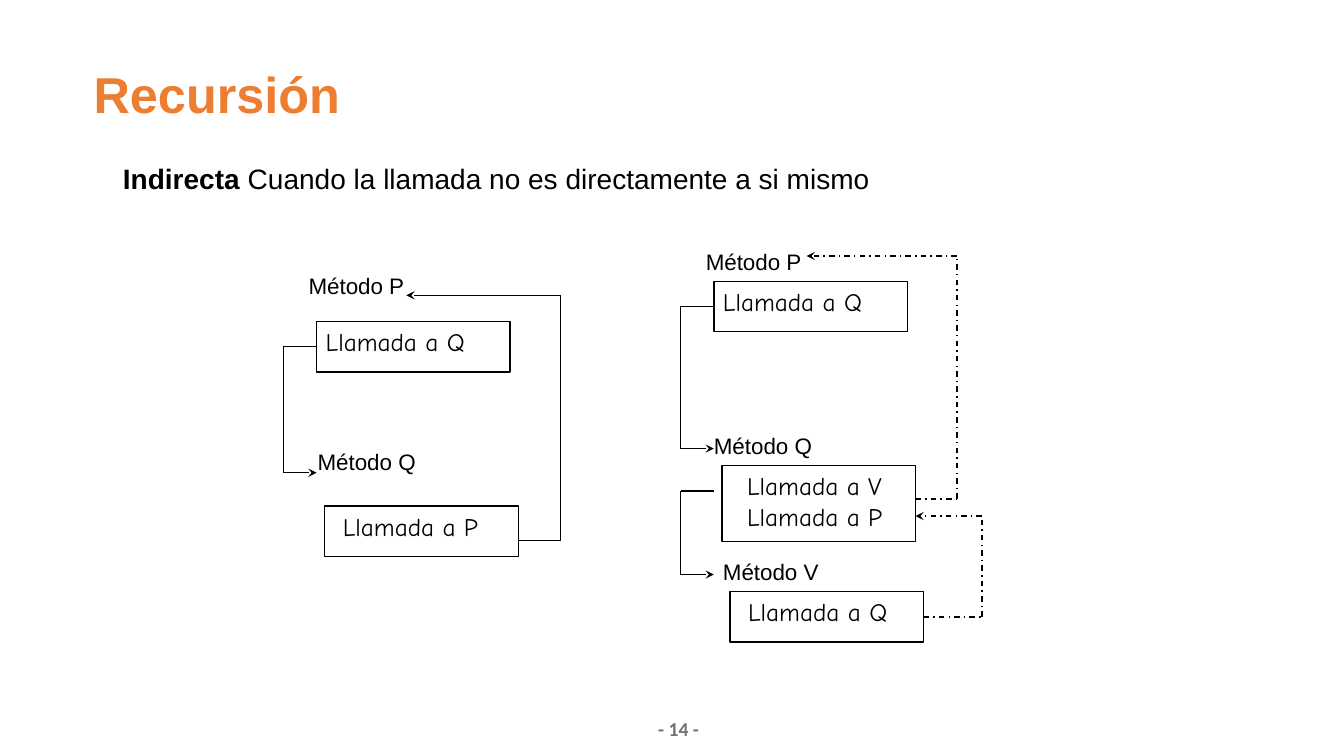
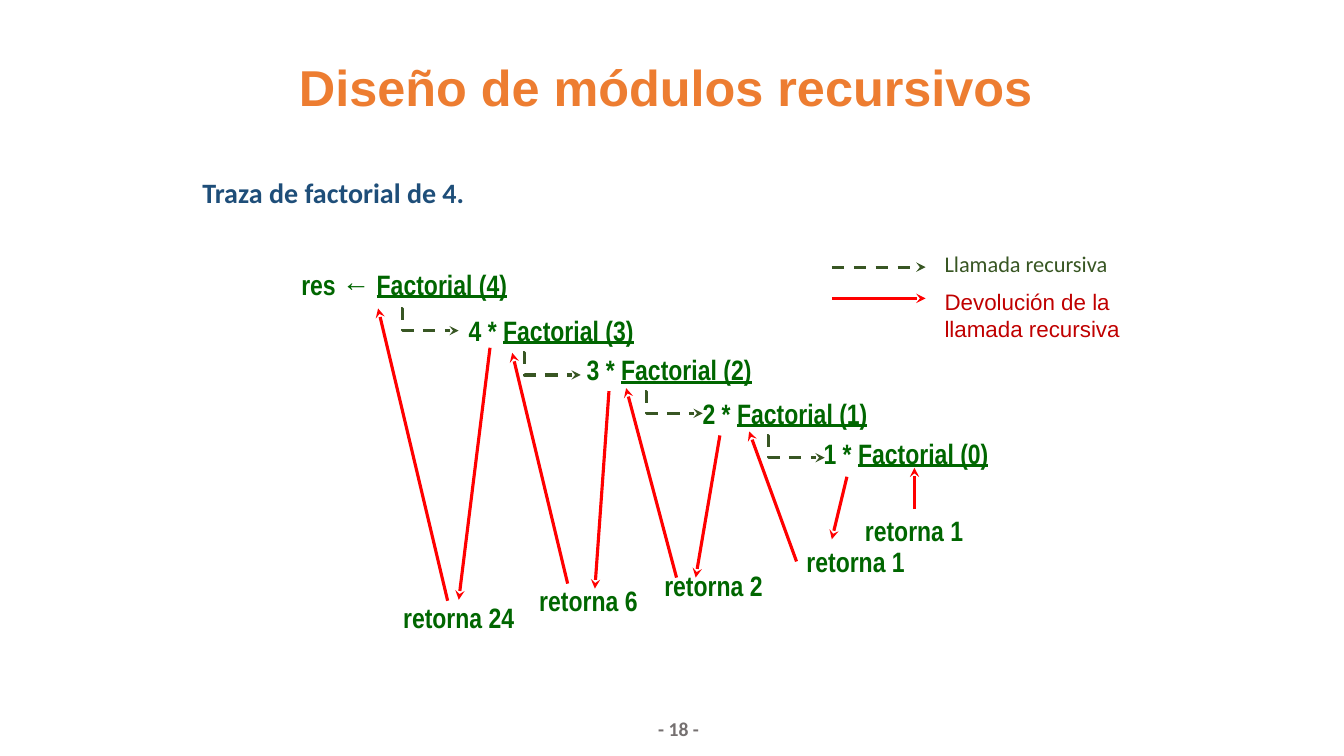
import dataclasses
import itertools
from typing import NamedTuple, Optional

import lxml.etree
import pptx
import pptx.dml.color
import pptx.enum.dml
import pptx.enum.shapes
import pptx.enum.text
import pptx.oxml.ns
import pptx.util

Inches = pptx.util.Inches
Align = pptx.enum.text.PP_ALIGN
Anchor = pptx.enum.text.MSO_ANCHOR
Dash = pptx.enum.dml.MSO_LINE
Connector = pptx.enum.shapes.MSO_CONNECTOR


@dataclasses.dataclass(frozen=True)
class Theme:
    title: str = "ED7D31"
    subtitle: str = "1E4E79"
    footer: str = "757070"
    ink: str = "000000"
    paper: str = "FFFFFF"
    term: str = "006600"
    call: str = "385623"
    give_back: str = "FF0000"
    give_back_label: str = "C00000"
    sans: str = "Arial"
    narrow: str = "Arial Narrow"
    body: str = "Calibri"
    hand: str = "Comic Neue"
    title_size: int = 36
    large_size: int = 20
    box_size: int = 18
    label_size: int = 16
    footer_size: int = 14
    thin: float = 1
    thick: float = 2.25


THEME = Theme()


class Run(NamedTuple):
    text: str
    bold: bool = False
    underline: bool = False


class Label(NamedTuple):
    left: float
    top: float
    text: str


class CallBox(NamedTuple):
    left: float
    top: float
    height: float
    indent: float
    lines: list[str]


class Route(NamedTuple):
    points: list[tuple[float, float]]
    dash: Optional[Dash] = None


class Term(NamedTuple):
    left: float
    top: float
    prefix: str
    number: int


METHODS = [
    Label(2.97, 2.65, "Método P"),
    Label(3.06, 4.4, "Método Q"),
    Label(6.91, 2.41, "Método P"),
    Label(6.99, 4.24, "Método Q"),
    Label(7.08, 5.49, "Método V"),
]
CALL_BOXES = [
    CallBox(3.14, 3.19, 0.5, 0.09, ["Llamada a Q"]),
    CallBox(3.22, 5.02, 0.5, 0.18, ["Llamada a P"]),
    CallBox(7.08, 2.79, 0.5, 0.09, ["Llamada a Q"]),
    CallBox(7.16, 4.62, 0.75, 0.25, ["Llamada a V", "Llamada a P"]),
    CallBox(7.24, 5.87, 0.5, 0.18, ["Llamada a Q"]),
]
ROUTES = [
    Route([(3.14, 3.44), (2.81, 3.44), (2.81, 4.69), (3.14, 4.69)]),
    Route([(5.14, 5.36), (5.56, 5.36), (5.56, 2.93), (4.03, 2.93)]),
    Route([(7.08, 3.04), (6.75, 3.04), (6.75, 4.45), (7.08, 4.45)]),
    Route([(7.08, 4.87), (6.75, 4.87), (6.75, 5.7), (7.08, 5.7)]),
    Route([(9.08, 4.95), (9.49, 4.95), (9.49, 2.54), (8, 2.54)], Dash.DASH_DOT),
    Route([(9.16, 6.12), (9.74, 6.12), (9.74, 5.12), (9.08, 5.12)], Dash.DASH_DOT),
]
TERMS = [
    Term(2.89, 2.6, "res ← ", 4),
    Term(4.55, 3.06, "4 * ", 3),
    Term(5.72, 3.45, "3 * ", 2),
    Term(6.87, 3.88, "2 * ", 1),
    Term(8.07, 4.28, "1 * ", 0),
]
CALL_TOPS = [3.06, 3.5, 3.88, 4.32]
RESULTS = [
    Label(8.48, 5.05, "retorna 1"),
    Label(7.9, 5.35, "retorna 1"),
    Label(6.49, 5.59, "retorna 2"),
    Label(5.25, 5.74, "retorna 6"),
    Label(3.9, 5.91, "retorna 24"),
]
RETURNS = [
    ((9.07, 5.05), (9.07, 4.64)),
    ((8.4, 4.73), (8.25, 5.35)),
    ((7.9, 5.57), (7.43, 4.28)),
    ((7.14, 4.32), (6.9, 5.73)),
    ((6.71, 5.73), (6.21, 3.85)),
    ((6.04, 3.88), (5.9, 5.84)),
    ((5.63, 5.79), (5.08, 3.5)),
    ((4.86, 3.45), (4.55, 5.95)),
    ((4.44, 5.96), (3.75, 3.06)),
]


def rgb(color: str) -> pptx.dml.color.RGBColor:
    return pptx.dml.color.RGBColor.from_string(color)


def write_text(shape, lines: list[list[Run]], *, size: int, font: str = THEME.sans,
               color: str = THEME.ink, align=Align.LEFT, anchor=Anchor.TOP,
               inset: float = 0.1, spacing: float = 1.0) -> None:
    frame = shape.text_frame
    frame.word_wrap = True
    frame.vertical_anchor = anchor
    frame.margin_left = Inches(inset)
    frame.margin_right = Inches(0.1)
    frame.margin_top = frame.margin_bottom = Inches(0.05)
    for index, runs in enumerate(lines):
        paragraph = frame.paragraphs[0] if index == 0 else frame.add_paragraph()
        paragraph.alignment = align
        paragraph.line_spacing = spacing
        for part in runs:
            run = paragraph.add_run()
            run.text = part.text
            run.font.name = font
            run.font.size = pptx.util.Pt(size)
            run.font.bold = part.bold
            run.font.underline = part.underline
            run.font.color.rgb = rgb(color)


def add_text(slide, left: float, top: float, width: float, height: float,
             lines: list[list[Run]], **text_format) -> None:
    shape = slide.shapes.add_textbox(Inches(left), Inches(top), Inches(width), Inches(height))
    write_text(shape, lines, **text_format)


def add_line(slide, start: tuple[float, float], end: tuple[float, float], *,
             color: str = THEME.ink, width: float = THEME.thin, dash: Optional[Dash] = None,
             arrow: bool = True, bend: Optional[int] = None) -> None:
    kind = Connector.STRAIGHT if bend is None else Connector.ELBOW
    connector = slide.shapes.add_connector(kind, *map(Inches, (*start, *end)))
    connector.line.color.rgb = rgb(color)
    connector.line.width = pptx.util.Pt(width)
    if dash is not None:
        connector.line.dash_style = dash
    qn = pptx.oxml.ns.qn
    properties = connector._element.spPr
    if arrow:
        lxml.etree.SubElement(properties.find(qn("a:ln")), qn("a:tailEnd"), type="stealth")
    if bend is not None:
        adjustments = properties.find(qn("a:prstGeom")).find(qn("a:avLst"))
        lxml.etree.SubElement(adjustments, qn("a:gd"), name="adj1", fmla=f"val {bend}")
    lxml.etree.SubElement(properties, qn("a:effectLst"))


def add_route(slide, route: Route) -> None:
    segments = list(itertools.pairwise(route.points))
    for index, (start, end) in enumerate(segments, 1):
        add_line(slide, start, end, dash=route.dash, arrow=index == len(segments))


def add_call_box(slide, box: CallBox) -> None:
    shape = slide.shapes.add_shape(
        pptx.enum.shapes.MSO_SHAPE.RECTANGLE,
        Inches(box.left), Inches(box.top), Inches(1.92), Inches(box.height))
    shape.shadow.inherit = False
    shape.fill.solid()
    shape.fill.fore_color.rgb = rgb(THEME.paper)
    shape.line.color.rgb = rgb(THEME.ink)
    shape.line.width = pptx.util.Pt(THEME.thin)
    write_text(shape, [[Run(line)] for line in box.lines], size=THEME.box_size,
               font=THEME.hand, inset=box.indent)


def add_page(presentation, number: int, title: str, left: float, top: float,
             width: float, height: float, align=Align.LEFT):
    slide = presentation.slides.add_slide(presentation.slide_layouts[6])
    add_text(slide, left, top, width, height, [[Run(title, bold=True)]],
             size=THEME.title_size, color=THEME.title, align=align,
             anchor=Anchor.MIDDLE, spacing=0.9)
    add_text(slide, 6.43, 7.06, 0.7, 0.34, [[Run(f"- {number} -", bold=True)]],
             size=THEME.footer_size, font=THEME.body, color=THEME.footer)
    return slide


def build_indirect_recursion(presentation) -> None:
    slide = add_page(presentation, 14, "Recursión", 0.83, 0.64, 9.03, 0.64)
    add_text(slide, 0.97, 1.59, 8.17, 0.4,
             [[Run("Indirecta ", bold=True),
               Run("Cuando la llamada no es directamente a si mismo")]],
             size=THEME.large_size, inset=0.25, spacing=0.9)
    for box in CALL_BOXES:
        add_call_box(slide, box)
    for method in METHODS:
        add_text(slide, method.left, method.top, 1.25, 0.35, [[Run(method.text)]],
                 size=THEME.label_size, inset=0.09)
    for route in ROUTES:
        add_route(slide, route)


def build_factorial_trace(presentation) -> None:
    slide = add_page(presentation, 18, "Diseño de módulos recursivos",
                     2.49, 0.52, 8.23, 0.75, Align.CENTER)
    add_text(slide, 1.91, 1.69, 8.43, 0.44, [[Run("Traza de factorial de 4.", bold=True)]],
             size=THEME.large_size, font=THEME.body, color=THEME.subtitle, align=Align.JUSTIFY)

    term_format = dict(size=THEME.large_size, font=THEME.narrow, color=THEME.term)
    for term in TERMS:
        add_text(slide, term.left, term.top, 2.3, 0.44,
                 [[Run(term.prefix, bold=True),
                   Run(f"Factorial ({term.number})", bold=True, underline=True)]],
                 **term_format)
    for result in RESULTS:
        add_text(slide, result.left, result.top, 1.4, 0.44,
                 [[Run(result.text, bold=True)]], **term_format)

    call_format = dict(color=THEME.call, width=THEME.thick, dash=Dash.DASH)
    return_format = dict(color=THEME.give_back, width=THEME.thick)
    for index, top in enumerate(CALL_TOPS):
        left = 3.98 + 1.21 * index
        add_line(slide, (left, top), (left + 0.57, top + 0.22), bend=2000, **call_format)
    for start, end in RETURNS:
        add_line(slide, start, end, **return_format)

    add_line(slide, (8.25, 2.65), (9.18, 2.65), **call_format)
    add_text(slide, 9.27, 2.43, 2.03, 0.37, [[Run("Llamada recursiva")]],
             size=THEME.label_size, font=THEME.body, color=THEME.call)
    add_line(slide, (8.25, 2.96), (9.18, 2.96), **return_format)
    add_text(slide, 9.27, 2.81, 2.03, 0.64,
             [[Run("Devolución de la")], [Run("llamada recursiva")]],
             size=THEME.label_size, color=THEME.give_back_label)


def main() -> None:
    presentation = pptx.Presentation()
    presentation.slide_width = Inches(13.33)
    presentation.slide_height = Inches(7.5)
    build_indirect_recursion(presentation)
    build_factorial_trace(presentation)
    presentation.save("out.pptx")


if __name__ == "__main__":
    main()
